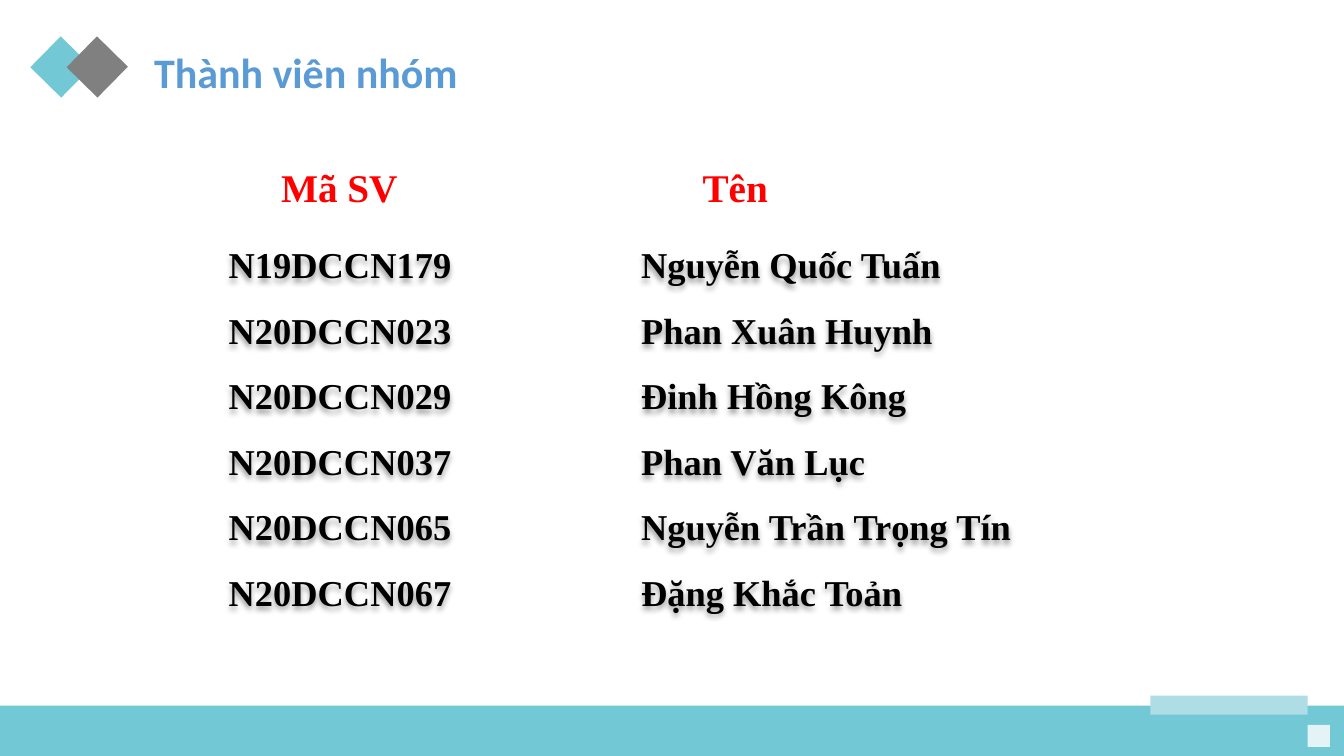
import dataclasses

import pptx
import pptx.dml.color
import pptx.enum.shapes
import pptx.enum.text
import pptx.oxml
import pptx.util

WIDE, HIGH = 13.33, 7.5
ALIGN = pptx.enum.text.PP_ALIGN
NS = 'xmlns:a="http://schemas.openxmlformats.org/drawingml/2006/main"'


@dataclasses.dataclass(frozen=True)
class Theme:
    teal: str = "72C8D5"
    pale: str = "AEDDE6"
    mist: str = "E4F3F5"
    gray: str = "808080"
    blue: str = "5B9BD5"
    red: str = "FF0000"
    ink: str = "000000"
    sans: str = "Calibri"
    serif: str = "Times New Roman"
    title: int = 30
    head: int = 28
    body: int = 26


THEME = Theme()
MEMBERS = [
    ("N19DCCN179", "Nguyễn Quốc Tuấn"),
    ("N20DCCN023", "Phan Xuân Huynh"),
    ("N20DCCN029", "Đinh Hồng Kông"),
    ("N20DCCN037", "Phan Văn Lục"),
    ("N20DCCN065", "Nguyễn Trần Trọng Tín"),
    ("N20DCCN067", "Đặng Khắc Toản"),
]


def inches(box):
    return [pptx.util.Inches(n) for n in box]


def add_rect(slide, box, color, turn=0):
    kind = pptx.enum.shapes.MSO_SHAPE.RECTANGLE
    rect = slide.shapes.add_shape(kind, *inches(box))
    rect.shadow.inherit = False
    rect.fill.solid()
    rect.fill.fore_color.rgb = pptx.dml.color.RGBColor.from_string(color)
    rect.line.fill.background()
    rect.rotation = turn


def add_text(slide, box, lines, *, size, color, font=THEME.serif,
             align=ALIGN.LEFT, space=1.0, tab=None):
    """Bold text, one paragraph a line; tab is a stop in inches."""
    field = slide.shapes.add_textbox(*inches(box))
    frame = field.text_frame
    frame.word_wrap = True
    for i, line in enumerate(lines):
        para = frame.paragraphs[0] if i == 0 else frame.add_paragraph()
        para.alignment = align
        para.line_spacing = space
        if tab:
            stop = pptx.util.Inches(tab)
            para._p.get_or_add_pPr().append(pptx.oxml.parse_xml(
                f'<a:tabLst {NS}><a:tab pos="{stop}" algn="l"/></a:tabLst>'))
        run = para.add_run()
        run.text = line
        run.font.name = font
        run.font.size = pptx.util.Pt(size)
        run.font.bold = True
        run.font.color.rgb = pptx.dml.color.RGBColor.from_string(color)
    return field


def add_glow(field):
    """Soft shadow below the letters of an unfilled text box."""
    field._element.spPr.append(pptx.oxml.parse_xml(
        f'<a:effectLst {NS}><a:outerShdw blurRad="50800" dist="38100" '
        'dir="5400000" algn="t" rotWithShape="0"><a:srgbClr val="000000">'
        '<a:alpha val="40000"/></a:srgbClr></a:outerShdw></a:effectLst>'))


def add_footer(slide, box):
    x, y, w, h = box
    add_rect(slide, box, THEME.teal)
    add_rect(slide, (x + w - 1.92, y - 0.1, 1.56, 0.19), THEME.pale)
    add_rect(slide, (x + w - 0.36, y + 0.19, 0.22, 0.22), THEME.mist)


def add_header(slide, box):
    x, y, w, h = box
    side = 0.43
    for i, color in enumerate((THEME.teal, THEME.gray)):
        add_rect(slide, (x + i * 0.36, y + 0.04, side, side), color, 44.5)
    add_text(slide, (x + 1.04, y, w - 1.04, h), ["Thành viên nhóm"],
             size=THEME.title, color=THEME.blue, font=THEME.sans)


def add_members(slide, box):
    x, y, w, h = box
    top = 0.57
    # Member rows
    rows = add_text(slide, (x, y + top, w, h - top),
                    ["\t".join(row) for row in MEMBERS],
                    size=THEME.body, color=THEME.ink,
                    align=ALIGN.JUSTIFY, space=1.5, tab=4.09)
    add_glow(rows)
    # Column heads
    add_text(slide, (x + 0.52, y, 6.47, top), ["Mã SV\tTên"],
             size=THEME.head, color=THEME.red, tab=4.18)


def main():
    deck = pptx.Presentation()
    deck.slide_width, deck.slide_height = inches((WIDE, HIGH))
    slide = deck.slides.add_slide(deck.slide_layouts[6])
    add_footer(slide, (0, HIGH - 0.5, WIDE, 0.5))
    add_header(slide, (0.39, 0.41, 4.62, 0.6))
    add_members(slide, (2.17, 1.57, 9, 4.61))
    deck.save("out.pptx")


if __name__ == "__main__":
    main()
